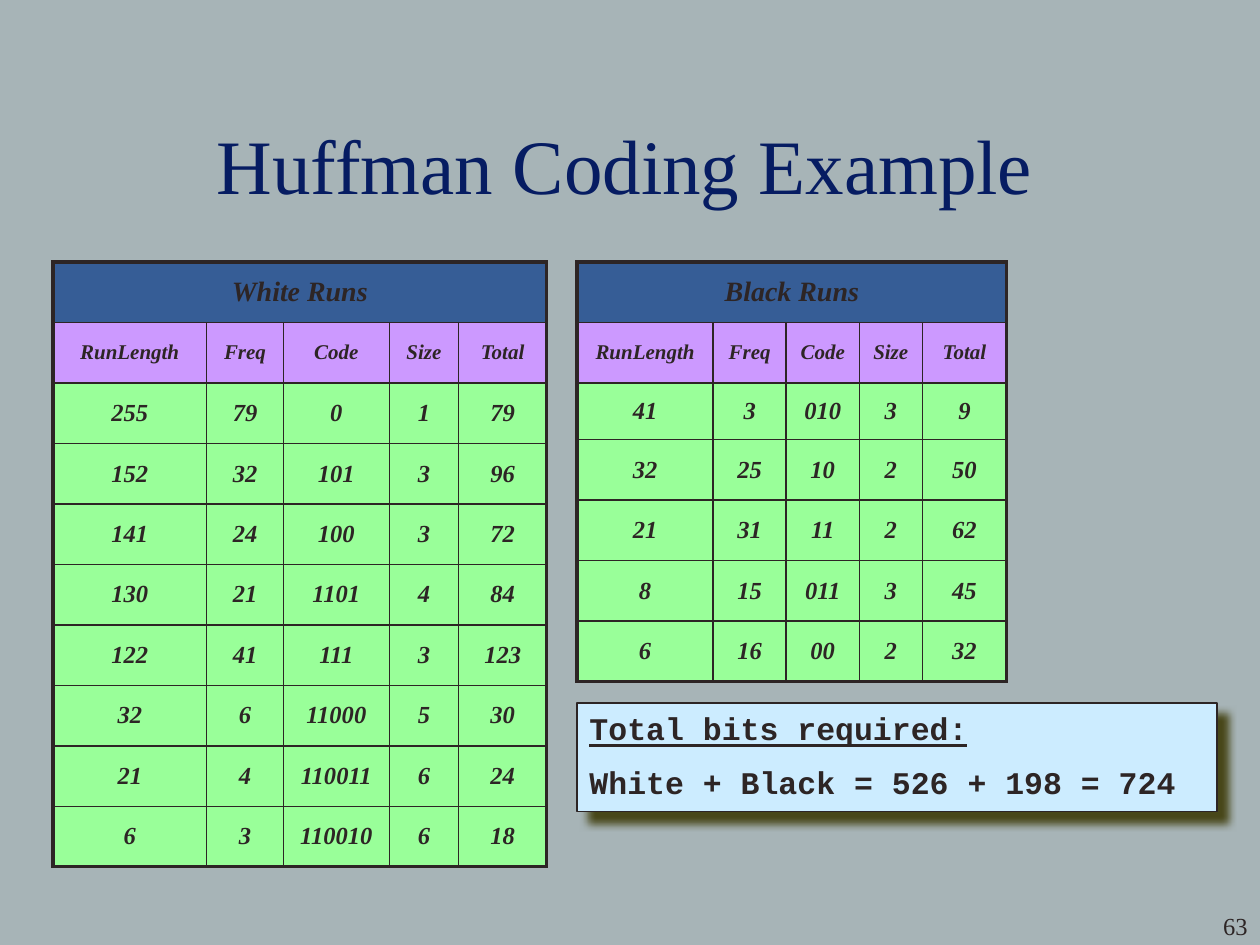
"""Build the Huffman coding slide with its run tables and the total of bits."""
import dataclasses

import lxml.etree
import pptx
import pptx.dml.color
import pptx.enum.shapes
import pptx.enum.text
import pptx.oxml.ns
import pptx.shapes.autoshape
import pptx.slide
import pptx.table
import pptx.text.text
import pptx.util

Inches = pptx.util.Inches
Align = pptx.enum.text.PP_ALIGN
Anchor = pptx.enum.text.MSO_ANCHOR
qn = pptx.oxml.ns.qn


@dataclasses.dataclass(frozen=True)
class Theme:
    background: str = "A7B4B7"
    ink: str = "2D2525"
    title: str = "061C62"
    caption_fill: str = "365D96"
    header_fill: str = "CC99FF"
    body_fill: str = "99FF99"
    summary_fill: str = "CCECFF"
    shadow: str = "484719"
    serif: str = "Times New Roman"
    mono: str = "Courier New"
    title_size: float = 44
    caption_size: float = 16
    header_size: float = 12
    body_size: float = 14
    summary_size: float = 18
    outer_border: float = 2.25
    inner_border: float = 1
    summary_border: float = 0.75


THEME = Theme()


@dataclasses.dataclass(frozen=True)
class Run:
    length: int
    freq: int
    code: str

    @property
    def size(self) -> int:
        return len(self.code)

    @property
    def total(self) -> int:
        return self.freq * self.size


@dataclasses.dataclass(frozen=True)
class RunTable:
    caption: str
    left: float
    column_widths: tuple[float, ...]
    runs: tuple[Run, ...]
    short_rows: tuple[int, ...] = ()

    @property
    def total(self) -> int:
        return sum(run.total for run in self.runs)


TABLE_TOP = 2.08
ROW_HEIGHT = 0.48
SHORT_ROW_HEIGHT = 0.45
HEADERS = ("RunLength", "Freq", "Code", "Size", "Total")

WHITE_RUNS = RunTable("White Runs", 0.42, (1.22, 0.61, 0.84, 0.55, 0.7), (
    Run(255, 79, "0"),
    Run(152, 32, "101"),
    Run(141, 24, "100"),
    Run(130, 21, "1101"),
    Run(122, 41, "111"),
    Run(32, 6, "11000"),
    Run(21, 4, "110011"),
    Run(6, 3, "110010"),
))
BLACK_RUNS = RunTable("Black Runs", 4.58, (1.08, 0.58, 0.58, 0.5, 0.67), (
    Run(41, 3, "010"),
    Run(32, 25, "10"),
    Run(21, 31, "11"),
    Run(8, 15, "011"),
    Run(6, 16, "00"),
), short_rows=(2,))


def rgb(value: str) -> pptx.dml.color.RGBColor:
    return pptx.dml.color.RGBColor.from_string(value)


def write(paragraph: pptx.text.text._Paragraph, text: str, *, size: float,
          font: str = THEME.serif, color: str = THEME.ink, align: Align = Align.LEFT,
          bold: bool = False, italic: bool = False, underline: bool = False,
          space_before: float = 0) -> None:
    paragraph.alignment = align
    paragraph.space_before = pptx.util.Pt(space_before)
    run = paragraph.add_run()
    run.text = text
    run.font.name = font
    run.font.size = pptx.util.Pt(size)
    run.font.color.rgb = rgb(color)
    run.font.bold = bold
    run.font.italic = italic
    run.font.underline = underline


def add_label(slide: pptx.slide.Slide, text: str, left: float, top: float,
              width: float, height: float, anchor: Anchor, **text_format) -> None:
    frame = slide.shapes.add_textbox(
        Inches(left), Inches(top), Inches(width), Inches(height)).text_frame
    frame.word_wrap = True
    frame.vertical_anchor = anchor
    write(frame.paragraphs[0], text, **text_format)


def set_borders(cell: pptx.table._Cell, outer_sides: set[str]) -> None:
    properties = cell._tc.get_or_add_tcPr()
    for side in "LRTB":
        points = THEME.outer_border if side in outer_sides else THEME.inner_border
        line = lxml.etree.SubElement(
            properties, qn(f"a:ln{side}"), w=str(int(pptx.util.Pt(points))))
        fill = lxml.etree.SubElement(line, qn("a:solidFill"))
        lxml.etree.SubElement(fill, qn("a:srgbClr"), val=THEME.ink)


def add_run_table(slide: pptx.slide.Slide, data: RunTable) -> None:
    rows = [(data.caption,) + ("",) * (len(HEADERS) - 1), HEADERS]
    rows += [(run.length, run.freq, run.code, run.size, run.total) for run in data.runs]
    styles = [(THEME.caption_fill, THEME.caption_size), (THEME.header_fill, THEME.header_size)]
    styles += [(THEME.body_fill, THEME.body_size)] * len(data.runs)
    heights = [SHORT_ROW_HEIGHT if row in data.short_rows else ROW_HEIGHT
               for row in range(len(rows))]
    table = slide.shapes.add_table(
        len(rows), len(HEADERS), Inches(data.left), Inches(TABLE_TOP),
        Inches(sum(data.column_widths)), Inches(sum(heights))).table
    table.first_row = table.horz_banding = False
    for column, width in zip(table.columns, data.column_widths):
        column.width = Inches(width)
    last_row, last_column = len(rows) - 1, len(HEADERS) - 1
    table.cell(0, 0).merge(table.cell(0, last_column))
    for r, (values, (fill, size), height) in enumerate(zip(rows, styles, heights)):
        table.rows[r].height = Inches(height)
        for c, value in enumerate(values):
            cell = table.cell(r, c)
            edges = {"L": c == 0, "R": c == last_column or r == 0,
                     "T": r == 0, "B": r == last_row}
            set_borders(cell, {side for side, is_outer in edges.items() if is_outer})
            cell.fill.solid()
            cell.fill.fore_color.rgb = rgb(fill)
            cell.vertical_anchor = Anchor.MIDDLE
            if value != "":
                write(cell.text_frame.paragraphs[0], str(value), size=size,
                      align=Align.CENTER, bold=True, italic=True)


def add_shadow(shape: pptx.shapes.autoshape.Shape, blur: float, distance: float,
               degrees: int) -> None:
    shape.shadow.inherit = False
    effects = shape._element.spPr.find(qn("a:effectLst"))
    shadow = lxml.etree.SubElement(
        effects, qn("a:outerShdw"), blurRad=str(int(pptx.util.Pt(blur))),
        dist=str(int(pptx.util.Pt(distance))), dir=str(degrees * 60000),
        algn="ctr", rotWithShape="0")
    lxml.etree.SubElement(shadow, qn("a:srgbClr"), val=THEME.shadow)


def add_summary(slide: pptx.slide.Slide, white: int, black: int) -> None:
    summary = slide.shapes.add_shape(
        pptx.enum.shapes.MSO_SHAPE.RECTANGLE,
        Inches(4.58), Inches(5.58), Inches(5.08), Inches(0.86))
    summary.fill.solid()
    summary.fill.fore_color.rgb = rgb(THEME.summary_fill)
    summary.line.color.rgb = rgb(THEME.ink)
    summary.line.width = pptx.util.Pt(THEME.summary_border)
    add_shadow(summary, blur=5, distance=8.5, degrees=45)
    frame = summary.text_frame
    frame.word_wrap = True
    frame.vertical_anchor = Anchor.TOP
    frame.auto_size = pptx.enum.text.MSO_AUTO_SIZE.SHAPE_TO_FIT_TEXT
    write(frame.paragraphs[0], "Total bits required:", size=THEME.summary_size,
          font=THEME.mono, bold=True, underline=True)
    write(frame.add_paragraph(), f"White + Black = {white} + {black} = {white + black}",
          size=THEME.summary_size, font=THEME.mono, bold=True, space_before=9)


def main() -> None:
    deck = pptx.Presentation()
    deck.slide_width, deck.slide_height = Inches(10), Inches(7.5)
    slide = deck.slides.add_slide(deck.slide_layouts[6])
    slide.background.fill.solid()
    slide.background.fill.fore_color.rgb = rgb(THEME.background)
    add_label(slide, "63", 8.33, 7.18, 1.67, 0.5, Anchor.TOP,
              size=THEME.body_size, align=Align.RIGHT)
    add_label(slide, "Huffman Coding Example", 0.25, 0.67, 9.42, 1.25, Anchor.MIDDLE,
              size=THEME.title_size, color=THEME.title, align=Align.CENTER)
    for data in (WHITE_RUNS, BLACK_RUNS):
        add_run_table(slide, data)
    add_summary(slide, WHITE_RUNS.total, BLACK_RUNS.total)
    deck.save("out.pptx")


if __name__ == "__main__":
    main()
